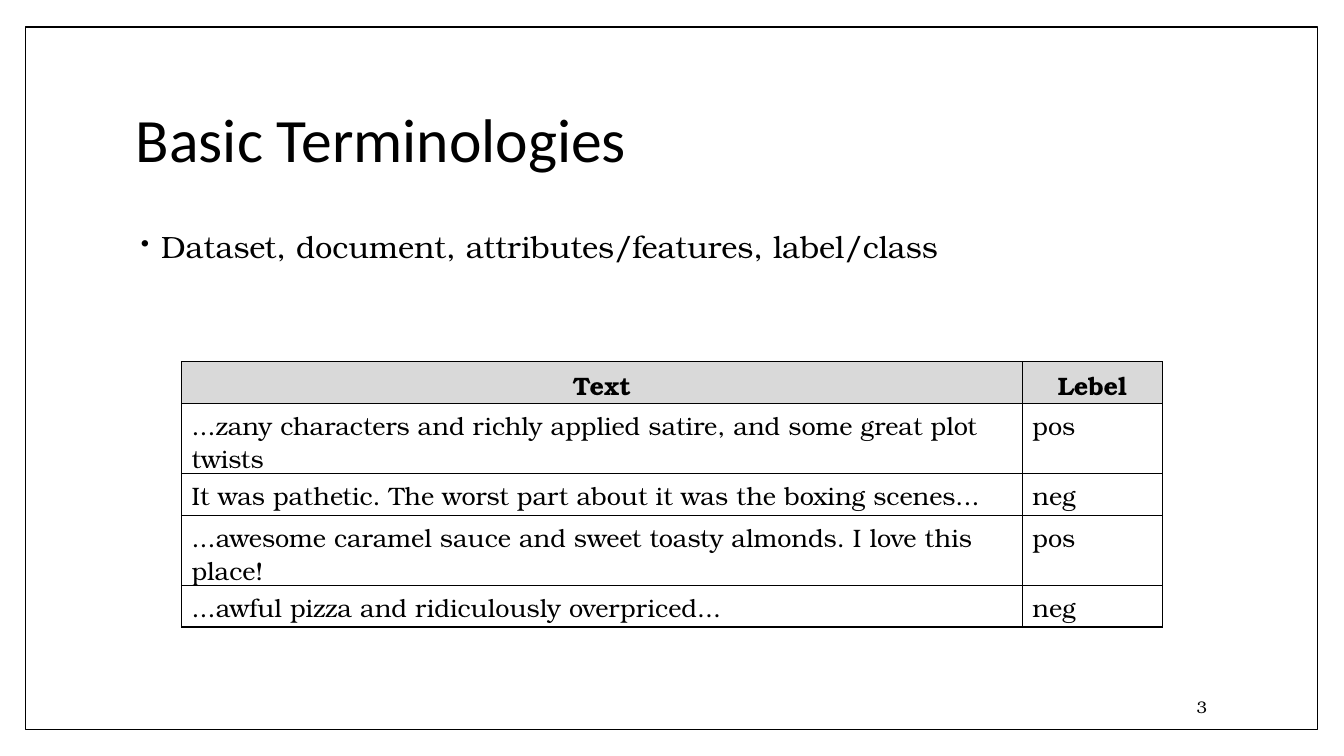
from lxml.etree import SubElement
from pptx import Presentation
from pptx.dml.color import RGBColor
from pptx.enum.shapes import MSO_SHAPE
from pptx.enum.text import MSO_ANCHOR, PP_ALIGN
from pptx.oxml.ns import qn
from pptx.util import Inches, Pt

COLORS = {"ink": "000000", "paper": "FFFFFF", "head": "D9D9D9"}
SERIF = "TeX Gyre Bonum"
REVIEWS = [
    ("Text", "Lebel"),
    ("...zany characters and richly applied satire, and some great plot twists", "pos"),
    ("It was pathetic. The worst part about it was the boxing scenes...", "neg"),
    ("...awesome caramel sauce and sweet toasty almonds. I love this place!", "pos"),
    ("...awful pizza and ridiculously overpriced...", "neg"),
]


def color(name):
    return RGBColor.from_string(COLORS[name])


def write(frame, text, size=18, font=SERIF, bold=False, align=PP_ALIGN.LEFT,
          spacing=None, bullet=None):
    para = frame.paragraphs[0]
    para.text = text
    if bullet:
        props = para._p.get_or_add_pPr()
        props.set("marL", str(Inches(0.25)))
        props.set("indent", str(Inches(-0.2)))
        tint = SubElement(props, qn("a:buClr"))
        SubElement(tint, qn("a:srgbClr"), val=COLORS["ink"])
        SubElement(props, qn("a:buSzPct"), val="80000")
        SubElement(props, qn("a:buChar"), char=bullet)
    para.alignment = align
    if spacing:
        para.line_spacing = spacing
    para.font.size = Pt(size)
    para.font.name = font
    para.font.bold = bold
    para.font.color.rgb = color("ink")


class Deck:
    def __init__(self):
        self.show = Presentation()
        self.show.slide_width = Inches(13.33)
        self.show.slide_height = Inches(7.5)
        self.slide = self.show.slides.add_slide(self.show.slide_layouts[6])
        self.shapes = self.slide.shapes

    def frame(self, *box):
        rect = self.shapes.add_shape(MSO_SHAPE.RECTANGLE, *map(Inches, box))
        rect.shadow.inherit = False
        rect.fill.solid()
        rect.fill.fore_color.rgb = color("paper")
        rect.line.color.rgb = color("ink")
        rect.line.width = Pt(1)

    def text(self, text, *box, anchor=MSO_ANCHOR.MIDDLE, **style):
        frame = self.shapes.add_textbox(*map(Inches, box)).text_frame
        frame.word_wrap = True
        frame.vertical_anchor = anchor
        write(frame, text, **style)

    def border(self, cell):
        props = cell._tc.get_or_add_tcPr()
        for side in ("lnL", "lnR", "lnT", "lnB"):
            line = SubElement(props, qn(f"a:{side}"), w=str(Pt(1)))
            fill = SubElement(line, qn("a:solidFill"))
            SubElement(fill, qn("a:srgbClr"), val=COLORS["ink"])

    def table(self, rows, left, top, widths, height):
        table = self.shapes.add_table(
            len(rows), len(widths), Inches(left), Inches(top),
            Inches(sum(widths)), Inches(height * len(rows))).table
        table.horz_banding = False
        for column, width in zip(table.columns, widths):
            column.width = Inches(width)
        for i, row in enumerate(rows):
            table.rows[i].height = Inches(height)
            for j, value in enumerate(row):
                cell = table.cell(i, j)
                head = i == 0
                write(cell.text_frame, value, bold=head,
                      align=PP_ALIGN.CENTER if head else PP_ALIGN.LEFT)
                self.border(cell)
                if head:
                    cell.fill.solid()
                    cell.fill.fore_color.rgb = color("head")
                else:
                    cell.fill.background()


def main():
    deck = Deck()
    deck.frame(0.25, 0.27, 12.82, 6.97)
    deck.text("Basic Terminologies", 1.25, 0.67, 10.8, 1.48,
              size=44, font="Calibri", spacing=0.9)
    deck.text("Dataset, document, attributes/features, label/class",
              1.25, 2.25, 10.8, 4.42, anchor=MSO_ANCHOR.TOP,
              size=22, spacing=0.9, bullet="•")
    deck.text("3", 10.2, 6.81, 1.87, 0.4, size=12, align=PP_ALIGN.RIGHT)
    deck.table(REVIEWS, 1.8, 3.59, (8.34, 1.39), 0.41)
    deck.show.save("out.pptx")


if __name__ == "__main__":
    main()
